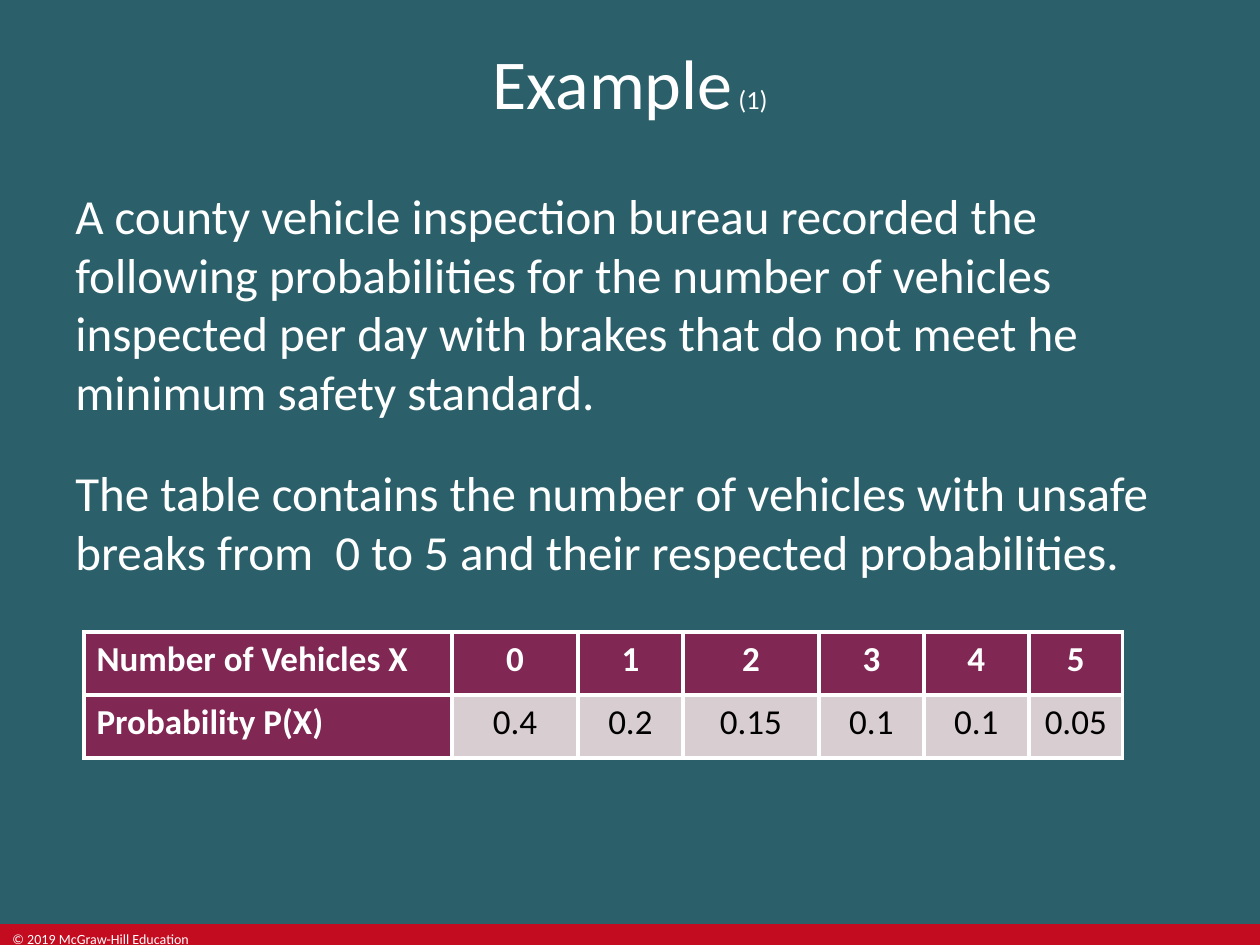
"""Build a slide with a worked probability example and its distribution table."""
from lxml.etree import SubElement
from pptx import Presentation
from pptx.dml.color import RGBColor
from pptx.enum.shapes import MSO_SHAPE
from pptx.enum.text import MSO_ANCHOR, PP_ALIGN
from pptx.oxml.ns import qn
from pptx.util import Emu, Pt

WHITE = RGBColor(0xFF, 0xFF, 0xFF)
BLACK = RGBColor(0x00, 0x00, 0x00)
TEAL = RGBColor(0x2B, 0x60, 0x6A)
RED = RGBColor(0xC3, 0x0C, 0x20)
PLUM = RGBColor(0x80, 0x27, 0x54)
PALE = RGBColor(0xD8, 0xCD, 0xD1)

TITLE = [("Example", 40), (" (1)", 15)]
BODY = [
    "A county vehicle inspection bureau recorded the following probabilities for the "
    "number of vehicles inspected per day with brakes that do not meet he minimum "
    "safety standard.",
    "The table contains the number of vehicles with unsafe breaks from  0 to 5 and "
    "their respected probabilities.",
]
ROWS = [
    ["Number of Vehicles X", "0", "1", "2", "3", "4", "5"],
    ["Probability P(X)", "0.4", "0.2", "0.15", "0.1", "0.1", "0.05"],
]
COLUMN_WIDTHS = [368, 126, 105, 136, 105, 105, 94]
ROW_HEIGHT = 63
COPYRIGHT = "© 2019 McGraw-Hill Education"


def px(*lengths):
    """Turn px into EMU at 126 px to the inch."""
    return [Emu(round(length * 914400 / 126)) for length in lengths]


def style(font, size, color=WHITE, bold=False):
    """Set the face, size, colour and weight of a font."""
    font.name, font.size, font.bold = "Calibri", Pt(size), bold
    font.color.rgb = color


def add_text(slide, place, paragraphs, size, gap=0):
    """Add a wrapped text box with a gap on each side of a paragraph break."""
    frame = slide.shapes.add_textbox(*px(*place)).text_frame
    frame.word_wrap = True
    frame.text = "\n".join(paragraphs)
    for index, para in enumerate(frame.paragraphs):
        para.space_before = Pt(gap if index else 0)
        para.space_after = Pt(gap)
        style(para.runs[0].font, size)


def add_borders(cell):
    """Draw white lines on the four sides of a cell, ahead of its fill."""
    properties = cell._tc.get_or_add_tcPr()
    for side in ("a:lnL", "a:lnR", "a:lnT", "a:lnB"):
        line = SubElement(properties, qn(side), w=str(Pt(2.25)))
        fill = SubElement(line, qn("a:solidFill"))
        SubElement(fill, qn("a:srgbClr"), val=str(WHITE))


def add_title(slide):
    """Place the title and give each part its size."""
    title = slide.shapes.title
    title.left, title.top, title.width, title.height = px(0, 0, 1260, 164)
    title.text_frame.vertical_anchor = MSO_ANCHOR.MIDDLE
    para = title.text_frame.paragraphs[0]
    para.alignment = PP_ALIGN.CENTER
    for text, size in TITLE:
        span = para.add_run()
        span.text = text
        style(span.font, size)


def add_distribution(slide):
    """Add the table with a header row and a header column."""
    place = px(84, 632, sum(COLUMN_WIDTHS), ROW_HEIGHT * len(ROWS))
    table = slide.shapes.add_table(len(ROWS), len(COLUMN_WIDTHS), *place).table
    table.first_col = True
    for column, width in zip(table.columns, px(*COLUMN_WIDTHS)):
        column.width = width
    for r, values in enumerate(ROWS):
        for c, value in enumerate(values):
            cell = table.cell(r, c)
            header = r == 0 or c == 0
            add_borders(cell)
            cell.fill.solid()
            cell.fill.fore_color.rgb = PLUM if header else PALE
            cell.text = value
            para = cell.text_frame.paragraphs[0]
            para.alignment = PP_ALIGN.CENTER if c else PP_ALIGN.LEFT
            style(para.runs[0].font, 20, WHITE if header else BLACK, header)


def main():
    """Build and save the deck."""
    deck = Presentation()
    deck.slide_width, deck.slide_height = px(1260, 945)
    slide = deck.slides.add_slide(deck.slide_layouts[5])
    slide.background.fill.solid()
    slide.background.fill.fore_color.rgb = TEAL

    bar = slide.shapes.add_shape(MSO_SHAPE.RECTANGLE, *px(0, 924, 1260, 21))
    bar.shadow.inherit = False
    bar.fill.solid()
    bar.fill.fore_color.rgb = RED
    bar.line.fill.background()

    add_text(slide, (0, 924, 214, 21), [COPYRIGHT], 8)
    add_title(slide)
    add_text(slide, (63, 179, 1121, 724), BODY, 28, gap=12)
    add_distribution(slide)
    deck.save("out.pptx")


if __name__ == "__main__":
    main()
